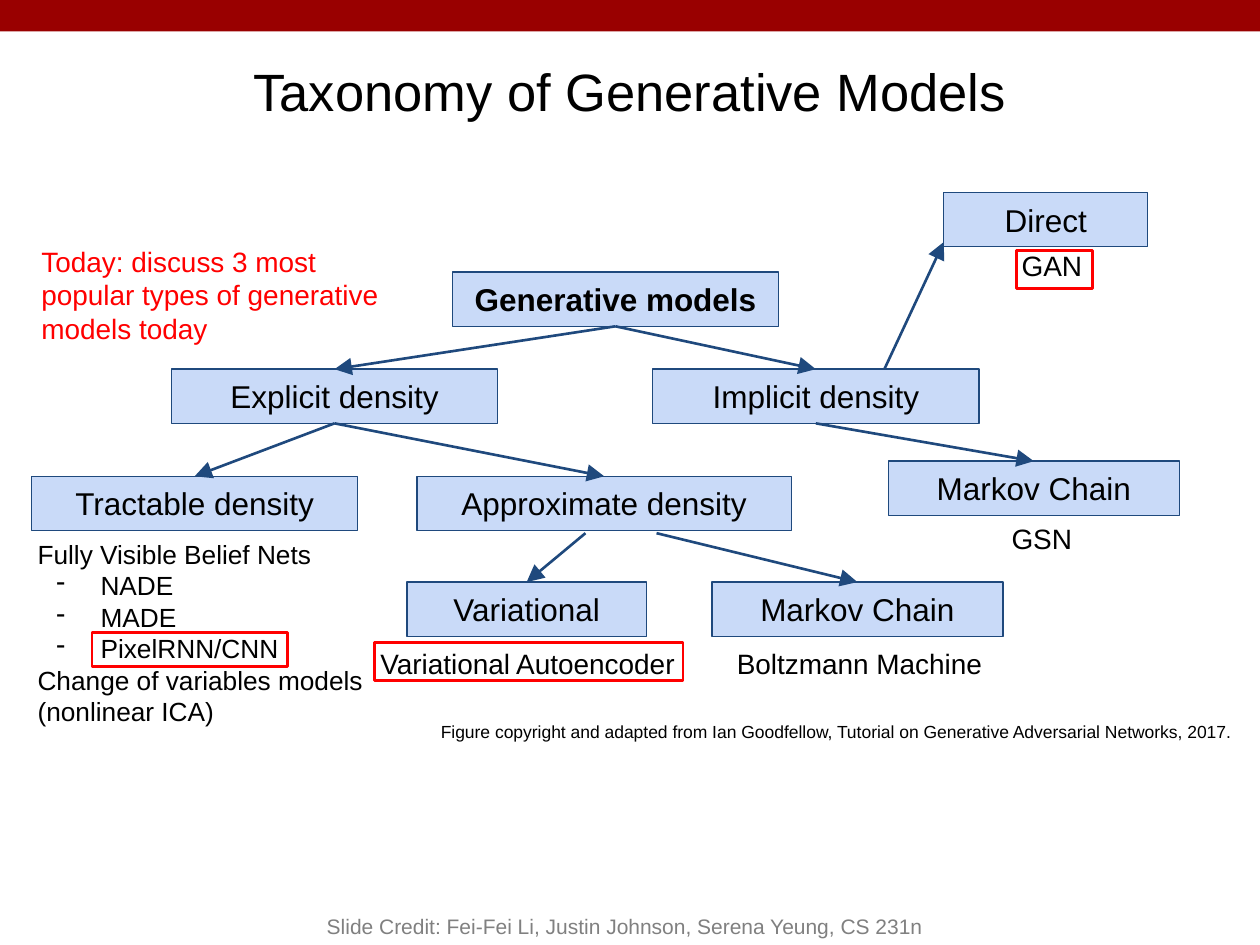
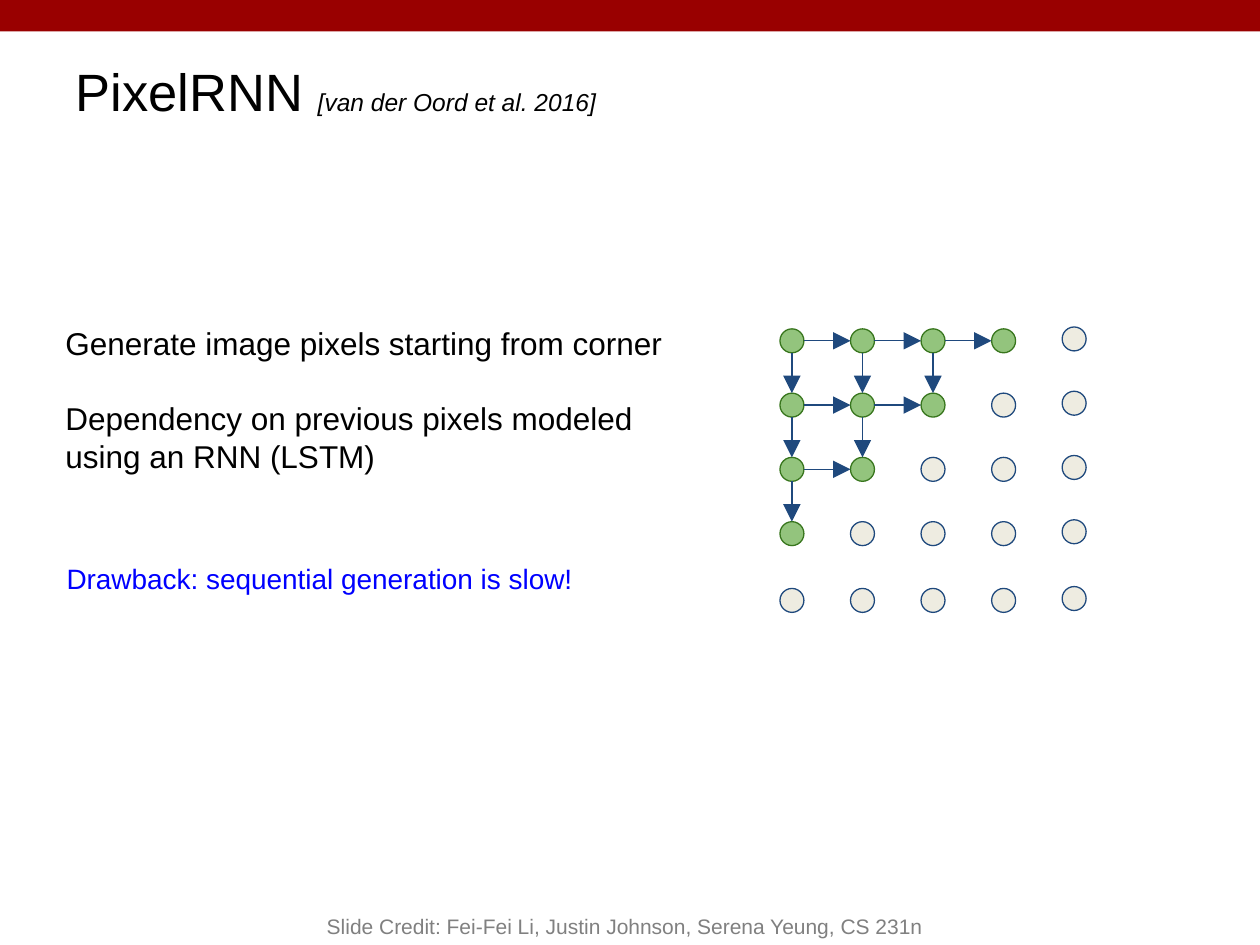
from dataclasses import dataclass

import pptx
import pptx.dml.color
import pptx.enum.shapes
import pptx.enum.text
import pptx.oxml
import pptx.oxml.ns
import pptx.util

SHAPE = pptx.enum.shapes.MSO_SHAPE
ALIGN = pptx.enum.text.PP_ALIGN
ANCHOR = pptx.enum.text.MSO_ANCHOR
COLUMNS, ROWS = 100, 75


@dataclass(frozen=True)
class Theme:
    font: str = "Arial"
    black: str = "000000"
    band: str = "990000"
    red: str = "FF0000"
    blue: str = "0000FF"
    gray: str = "808080"
    navy: str = "1F497D"
    node: str = "C9DAF8"
    done: str = "93C47D"
    done_edge: str = "38761D"
    waiting: str = "EEECE1"
    title: int = 30
    body: int = 18
    caption: int = 16
    listing: int = 15
    reference: int = 14
    footer: int = 12
    source: int = 10
    thin: float = 0.75
    thick: float = 1.5


THEME = Theme()


@dataclass(frozen=True)
class Box:
    left: float
    top: float
    width: float
    height: float

    def inside(self, left, top, width, height):
        return Box(self.left + left, self.top + top, width, height)

    def point(self, across, down):
        return self.left + across * self.width, self.top + down * self.height


def column(count):
    return int(pptx.util.Inches(10) * count / COLUMNS)


def row(count):
    return int(pptx.util.Inches(7.5) * count / ROWS)


def place(box):
    return column(box.left), row(box.top), column(box.width), row(box.height)


def color(code):
    return pptx.dml.color.RGBColor.from_string(code)


def write(para, text, size, ink=THEME.black, bold=False, italic=False):
    span = para.add_run()
    span.text = text
    font = span.font
    font.name, font.size = THEME.font, pptx.util.Pt(size)
    font.bold, font.italic = bold, italic
    font.color.rgb = color(ink)


def set_frame(frame, anchor, inset=0.1):
    frame.word_wrap = True
    frame.auto_size = pptx.enum.text.MSO_AUTO_SIZE.NONE
    frame.vertical_anchor = anchor
    frame.margin_left = frame.margin_right = pptx.util.Inches(0.1)
    frame.margin_top = frame.margin_bottom = pptx.util.Inches(inset)


def add_text(page, box, lines, size, ink=THEME.black, gap=0):
    frame = page.shapes.add_textbox(*place(box)).text_frame
    set_frame(frame, ANCHOR.TOP)
    for index, line in enumerate(lines):
        para = frame.add_paragraph() if index else frame.paragraphs[0]
        if index and gap:
            para.space_before = pptx.util.Pt(gap)
        write(para, line, size, ink)
    return frame


def add_dash(para):
    properties = para._p.get_or_add_pPr()
    properties.set("marL", str(pptx.util.Inches(0.5)))
    properties.set("indent", str(pptx.util.Inches(-0.35)))
    bullet = pptx.oxml.parse_xml(
        f'<a:buChar {pptx.oxml.ns.nsdecls("a")} char="-"/>')
    properties.append(bullet)


def add_shape(page, kind, box, fill=None, edge=None, weight=THEME.thin):
    shape = page.shapes.add_shape(kind, *place(box))
    shape.shadow.inherit = False
    if fill:
        shape.fill.solid()
        shape.fill.fore_color.rgb = color(fill)
    else:
        shape.fill.background()
    if edge:
        shape.line.color.rgb = color(edge)
        shape.line.width = pptx.util.Pt(weight)
    else:
        shape.line.fill.background()
    return shape


def add_arrow(page, start, end, weight):
    arrow = page.shapes.add_connector(
        pptx.enum.shapes.MSO_CONNECTOR.STRAIGHT,
        column(start[0]), row(start[1]), column(end[0]), row(end[1]))
    arrow.line.color.rgb = color(THEME.navy)
    arrow.line.width = pptx.util.Pt(weight)
    namespace = pptx.oxml.ns.nsdecls("a")
    arrow.line._get_or_add_ln().append(pptx.oxml.parse_xml(
        f'<a:tailEnd {namespace} type="triangle" w="lg" len="lg"/>'))
    arrow._element.spPr.append(
        pptx.oxml.parse_xml(f"<a:effectLst {namespace}/>"))


def add_page(deck, align, title_spans):
    page = deck.slides.add_slide(deck.slide_layouts[5])
    add_shape(page, SHAPE.RECTANGLE, Box(0, 0, COLUMNS, 2.5), THEME.band)

    title = page.shapes.title
    title.left, title.top, title.width, title.height = place(Box(5, 2.5, 90, 9.4))
    set_frame(title.text_frame, ANCHOR.MIDDLE)
    para = title.text_frame.paragraphs[0]
    para.alignment = align
    for text, size, italic in title_spans:
        write(para, text, size, italic=italic)

    footer = page.shapes.add_textbox(*place(Box(20, 70, 59.2, 5))).text_frame
    set_frame(footer, ANCHOR.BOTTOM, 0.05)
    para = footer.paragraphs[0]
    para.alignment = ALIGN.CENTER
    write(para, "Slide Credit: Fei-Fei Li, Justin Johnson, Serena Yeung, CS 231n",
          THEME.footer, THEME.gray)
    return page


def add_tree(page, box):
    node_height = 4.3
    nodes = {
        "root": ("Generative models", 33.9, 6.6, 25.9),
        "explicit": ("Explicit density", 11.6, 14.3, 25.9),
        "implicit": ("Implicit density", 49.8, 14.3, 25.9),
        "direct": ("Direct", 72.9, 0.3, 16.2),
        "tractable": ("Tractable density", 0.5, 22.8, 25.9),
        "approximate": ("Approximate density", 31.1, 22.8, 29.7),
        "implicit chain": ("Markov Chain", 68.5, 21.6, 23.1),
        "variational": ("Variational", 30.3, 31.2, 19),
        "explicit chain": ("Markov Chain", 54.5, 31.2, 23.1),
    }
    boxes = {}
    for name, (label, left, top, width) in nodes.items():
        boxes[name] = box.inside(left, top, width, node_height)
        shape = add_shape(page, SHAPE.RECTANGLE, boxes[name], THEME.node, THEME.navy)
        set_frame(shape.text_frame, ANCHOR.MIDDLE)
        para = shape.text_frame.paragraphs[0]
        para.alignment = ALIGN.CENTER
        write(para, label, THEME.body, bold=name == "root")

    bottom, top = (0.5, 1), (0.5, 0)
    branches = [
        ("explicit", bottom, "tractable", top),
        ("explicit", bottom, "approximate", top),
        ("root", bottom, "explicit", top),
        ("root", bottom, "implicit", top),
        ("implicit", bottom, "implicit chain", top),
        ("implicit", (0.71, 0), "direct", (0, 0.91)),
        ("approximate", (0.64, 1.05), "explicit chain", top),
        ("approximate", (0.45, 1.05), "variational", top),
    ]
    for parent, leave, child, arrive in branches:
        add_arrow(page, boxes[parent].point(*leave),
                  boxes[child].point(*arrive), THEME.thick)


def add_examples(page, box):
    captions = [
        ("Variational Autoencoder", 27.2, 35.3, 32),
        ("Boltzmann Machine", 55.5, 35.3, 22.6),
        ("GSN", 77.3, 25.4, 7.1),
        ("GAN", 78.1, 3.7, 7.1),
    ]
    for text, left, top, width in captions:
        add_text(page, box.inside(left, top, width, 5.4), [text], THEME.caption)

    models = ["Fully Visible Belief Nets", "NADE", "MADE", "PixelRNN/CNN",
              "Change of variables models (nonlinear ICA)"]
    frame = add_text(page, box.inside(0, 26.7, 30.4, 5.4), models, THEME.listing)
    for para in frame.paragraphs[1:4]:
        add_dash(para)

    highlights = [(5.3, 35.2, 15.5, 2.7), (27.7, 36, 24.5, 3), (78.7, 4.9, 6, 3)]
    for highlight in highlights:
        add_shape(page, SHAPE.RECTANGLE, box.inside(*highlight),
                  edge=THEME.red, weight=THEME.thick)


def build_taxonomy(deck):
    page = add_page(deck, ALIGN.CENTER,
                    [("Taxonomy of Generative Models", THEME.title, False)])
    region = Box(2, 15, 96, 46)
    add_tree(page, region)
    add_examples(page, region)
    add_text(page, region.inside(0.3, 3.4, 30.8, 4.7),
             ["Today: discuss 3 most popular types of generative models today"],
             THEME.caption, THEME.red)
    add_text(page, region.inside(32, 41.2, 65.7, 5.4),
             ["Figure copyright and adapted from Ian Goodfellow, Tutorial on "
              "Generative Adversarial Networks, 2017."], THEME.source)


def add_pixel_grid(page, box):
    count, pixel = 5, 1.9
    across, down = 5.6, 5.1
    last = count - 1
    cells = {}
    for line in range(count):
        for step in range(count):
            top = line * down + 0.2 * (line == last) - 0.15 * (step == last)
            cell = box.inside(step * across, top, pixel, pixel)
            cells[line, step] = cell
            colors = ((THEME.done, THEME.done_edge) if line + step < last
                      else (THEME.waiting, THEME.navy))
            add_shape(page, SHAPE.OVAL, cell, *colors)

    for (line, step), cell in cells.items():
        if line + step < last - 1:
            right = cells[line, step + 1]
            below = cells[line + 1, step]
            add_arrow(page, cell.point(1, 0.5), right.point(0, 0.5), THEME.thin)
            add_arrow(page, cell.point(0.5, 1), below.point(0.5, 0), THEME.thin)


def build_pixel_rnn(deck):
    page = add_page(deck, ALIGN.LEFT,
                    [("PixelRNN ", THEME.title, False),
                     ("[van der Oord et al. 2016]", THEME.reference, True)])
    add_pixel_grid(page, Box(61.9, 26.1, 24.3, 22.5))
    add_text(page, Box(4.2, 24.7, 50.1, 14.6),
             ["Generate image pixels starting from corner",
              "Dependency on previous pixels modeled using an RNN (LSTM)"],
             THEME.body, gap=21.6)
    add_text(page, Box(4.3, 43.6, 42.3, 4.4),
             ["Drawback: sequential generation is slow!"],
             THEME.caption, THEME.blue)


def main():
    deck = pptx.Presentation()
    deck.slide_width = pptx.util.Inches(10)
    deck.slide_height = pptx.util.Inches(7.5)
    build_taxonomy(deck)
    build_pixel_rnn(deck)
    deck.save("out.pptx")


if __name__ == "__main__":
    main()
